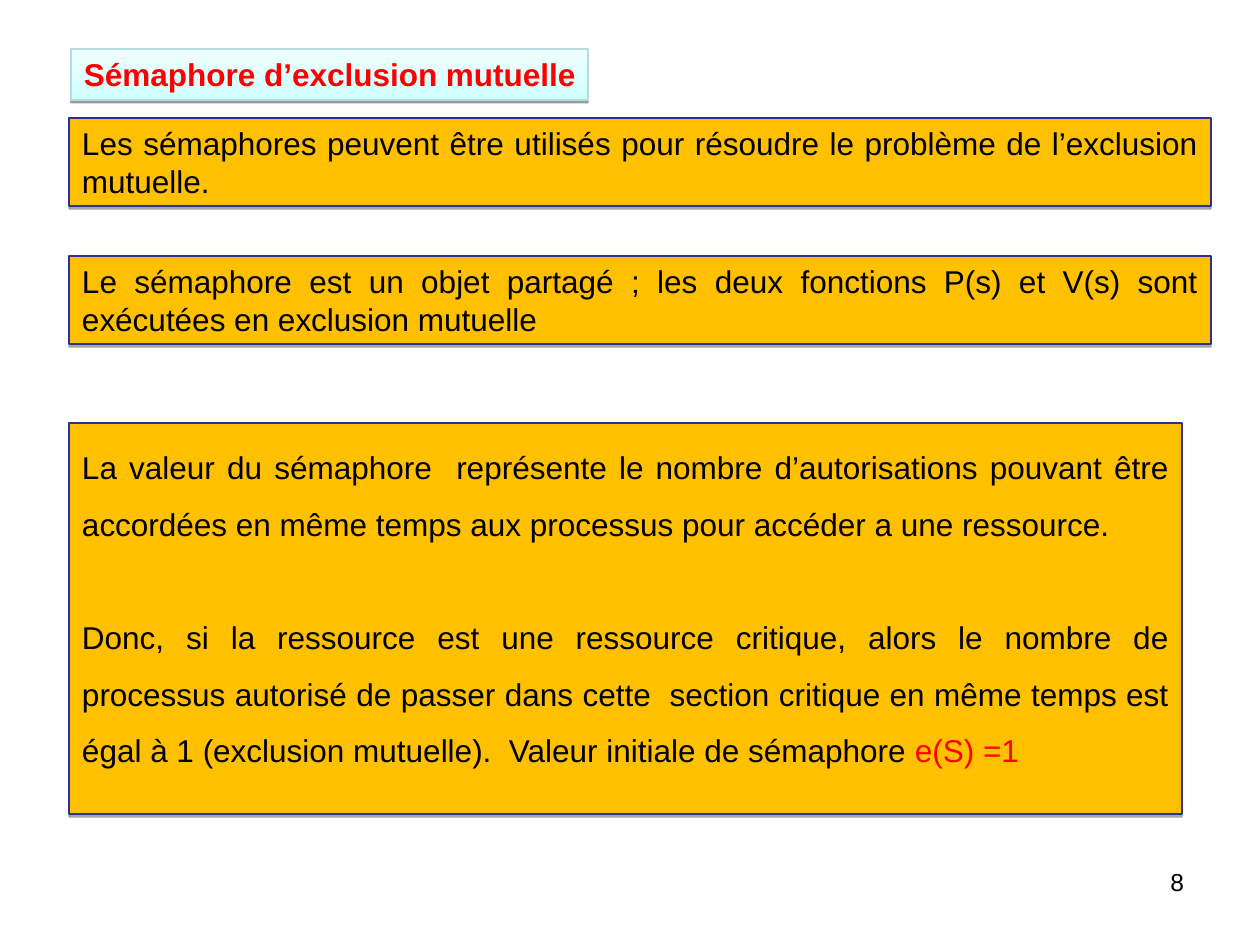
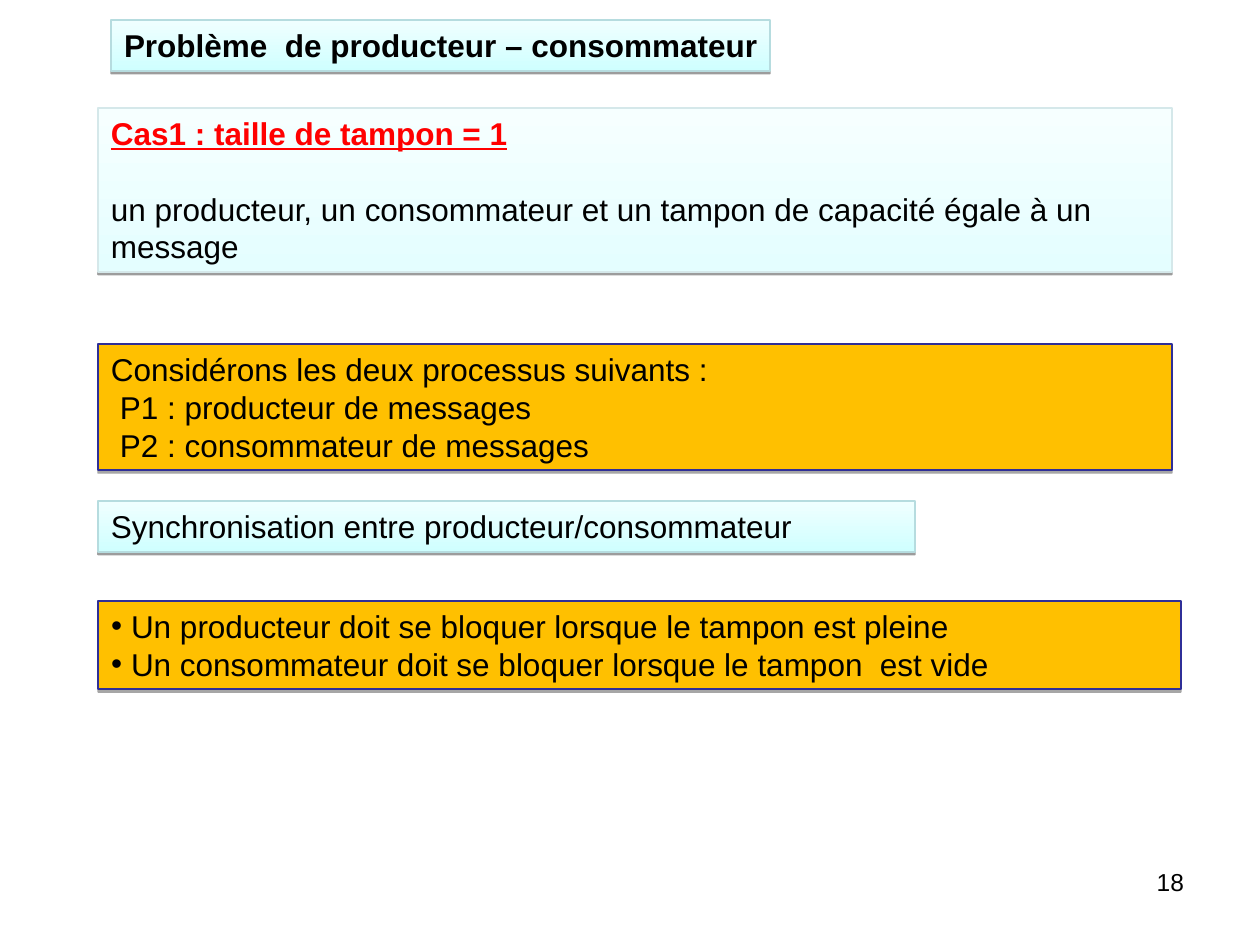
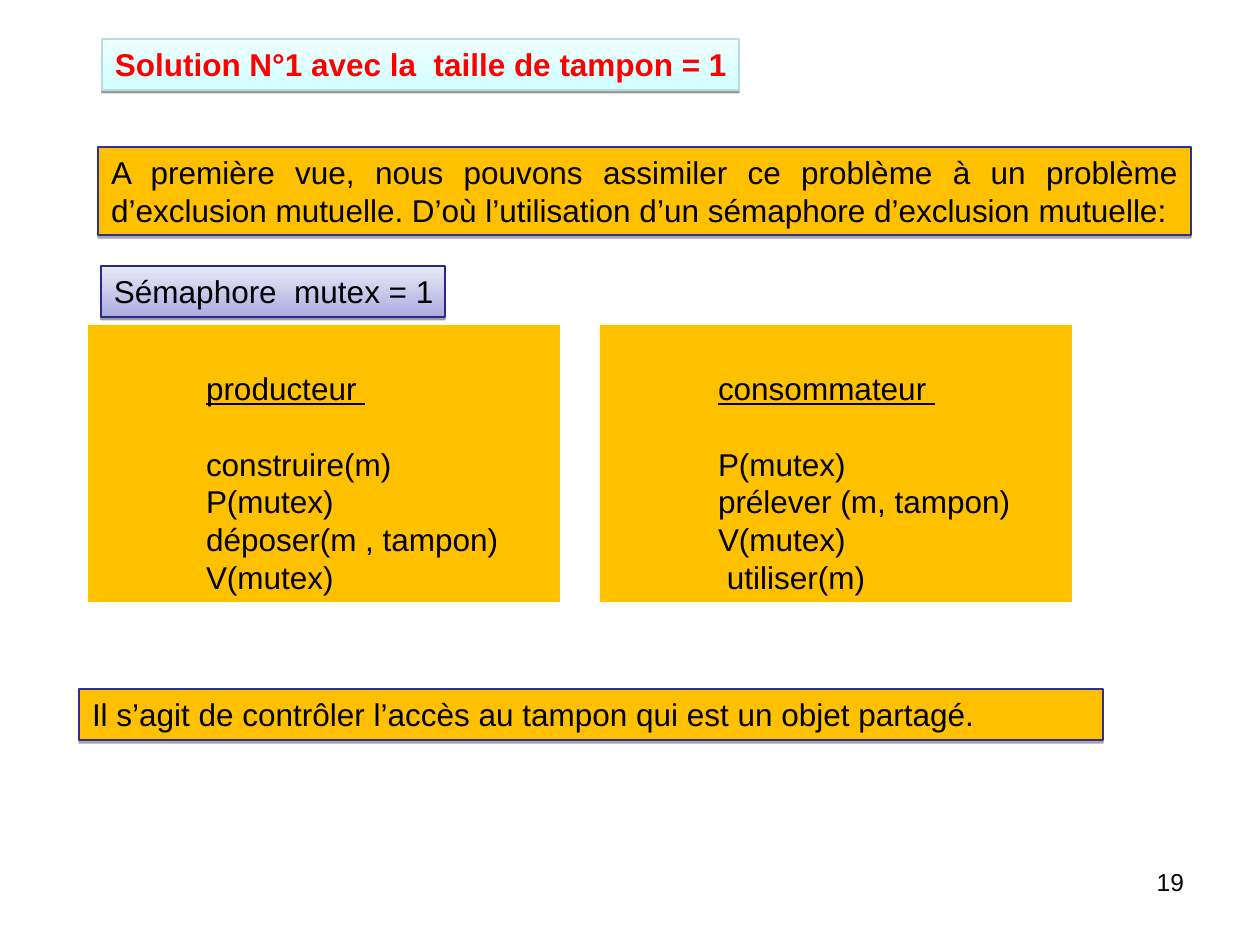
"""Build three course slides on semaphores and the producer-consumer problem."""
from lxml.etree import SubElement
from pptx import Presentation
from pptx.dml.color import RGBColor
from pptx.enum.shapes import MSO_SHAPE
from pptx.enum.text import MSO_ANCHOR, MSO_AUTO_SIZE, PP_ALIGN
from pptx.oxml.ns import qn
from pptx.util import Pt

PX = 914400 / 126
FONT = "Arial"
SIZE = 18
LEAD = 21.6
ROW = 38
PAD = 13
TOP = 6
STEP = 9
CODE = 105

BLACK = RGBColor(0, 0, 0)
RED = RGBColor(0xFF, 0, 0)
AMBER = RGBColor(0xFF, 0xC0, 0)
NAVY = RGBColor(0x2F, 0x2F, 0x98)
ICE = RGBColor(0xF0, 0xFF, 0xFF)
AQUA = RGBColor(0xCF, 0xFF, 0xFF)
TEAL = RGBColor(0xB6, 0xDC, 0xDF)
FROST = RGBColor(0xF6, 0xFF, 0xFF)
MIST = RGBColor(0xE4, 0xFE, 0xFF)
PALE = RGBColor(0xD5, 0xE8, 0xEA)
LILAC = RGBColor(0xE9, 0xE9, 0xF7)
MAUVE = RGBColor(0xAC, 0xAC, 0xE1)
INDIGO = RGBColor(0x29, 0x29, 0x89)

SKINS = {
    "amber": ([AMBER], NAVY, 35, 1.8),
    "aqua": ([ICE, AQUA], TEAL, 38, 1.6),
    "frost": ([FROST, MIST], PALE, 38, 1.6),
    "lilac": ([LILAC, MAUVE], INDIGO, 38, 1.6),
    "code": ([AMBER], None, 0, 0),
}


def para(*runs, gap=0, left=0, mark=False):
    return {"runs": runs, "gap": gap, "left": left, "mark": mark}


def run(text, color=BLACK, bold=False, line=False):
    return text, color, bold, line


def box(place, skin, *paras, just=False, lead=1, top=TOP, right=PAD, role=None):
    return {"place": place, "skin": skin, "paras": paras, "just": just,
            "lead": lead, "top": top, "right": right, "role": role}


def title(place, text, color):
    return box(place, "aqua", para(run(text, color, True)), right=0, role="title")


def code(x, name, *lines):
    paras = [para(run(name, line=True), left=CODE)]
    for i, (text, left) in enumerate(lines):
        paras.append(para(run(text), gap=int(i == 0), left=CODE + left))
    return box((x, 325, 472, 277), "code", *paras, top=TOP + ROW)


SLIDES = [
    (8, [
        title((71, 49, 517, 51), "Sémaphore d’exclusion mutuelle", RED),
        box((69, 118, 1142, 88), "amber", para(run(
            "Les sémaphores peuvent être utilisés pour résoudre le problème "
            "de l’exclusion mutuelle.")), just=True),
        box((69, 256, 1142, 88), "amber", para(run(
            "Le sémaphore est un objet partagé ; les deux fonctions P(s) et "
            "V(s) sont exécutées en exclusion mutuelle")), just=True),
        box((69, 423, 1113, 391), "amber",
            para(run("La valeur du sémaphore  représente le nombre d’autorisations "
                     "pouvant être accordées en même temps aux processus pour "
                     "accéder a une ressource.")),
            para(run("Donc, si la ressource est une ressource critique, alors le "
                     "nombre de processus autorisé de passer dans cette  section "
                     "critique en même temps est égal à 1 (exclusion mutuelle).  "
                     "Valeur initiale de sémaphore "),
                 run("e(S) =1", RED), gap=1),
            just=True, lead=1.5),
    ]),
    (18, [
        title((111, 20, 659, 51), "Problème  de producteur – consommateur", BLACK),
        box((98, 108, 1074, 164), "frost",
            para(run("Cas1 : taille de tampon = 1", RED, True, True)),
            para(run("un producteur, un consommateur et un tampon de capacité "
                     "égale à un message"), gap=1)),
        box((98, 344, 1074, 126), "amber",
            para(run("Considérons les deux processus suivants :")),
            para(run("P1 : producteur de messages"), left=STEP),
            para(run("P2 : consommateur de messages"), left=STEP)),
        box((98, 501, 817, 51), "aqua",
            para(run("Synchronisation entre producteur/consommateur"))),
        box((98, 601, 1083, 88), "amber",
            para(run("Un producteur doit se bloquer lorsque le tampon est pleine"),
                 left=20, mark=True),
            para(run("Un consommateur doit se bloquer lorsque le tampon  est vide"),
                 left=20, mark=True), role="list"),
    ]),
    (19, [
        title((102, 39, 637, 51), "Solution N°1 avec la  taille de tampon = 1", RED),
        box((98, 147, 1093, 88), "amber", para(run(
            "A première vue, nous pouvons assimiler ce problème à un problème "
            "d’exclusion mutuelle. D’où l’utilisation d’un sémaphore "
            "d’exclusion mutuelle:")), just=True),
        code(88, "producteur ", ("construire(m)", 0), ("P(mutex)", 0),
             ("déposer(m , tampon)", 0), ("V(mutex)", 0)),
        box((101, 266, 344, 51), "lilac", para(run("Sémaphore  mutex = 1")),
            right=0),
        code(600, "consommateur ", ("P(mutex)", 0), ("prélever (m, tampon)", 0),
             ("V(mutex)", 0), ("utiliser(m)", STEP)),
        box((79, 689, 1024, 51), "amber", para(run(
            "Il s’agit de contrôler l’accès au tampon qui est un objet partagé."))),
    ]),
]


def px(n):
    return int(n * PX)


def put(shape, place):
    shape.left, shape.top, shape.width, shape.height = map(px, place)


def paint(shape, skin):
    fills, edge, alpha, dist = SKINS[skin]
    fill = shape.fill
    if len(fills) == 1:
        fill.solid()
        fill.fore_color.rgb = fills[0]
    else:
        fill.gradient()
        fill.gradient_angle = 270
        for stop, color, spot in zip(fill.gradient_stops, fills, (0, 1)):
            stop.color.rgb = color
            stop.position = spot
    shape.shadow.inherit = False
    if edge is None:
        shape.line.fill.background()
        return
    shape.line.color.rgb = edge
    shape.line.width = Pt(0.75)
    effects = shape.element.spPr.find(qn("a:effectLst"))
    shade = SubElement(effects, qn("a:outerShdw"), blurRad="0", dist=str(Pt(dist)),
                       dir="5400000", rotWithShape="0")
    tint = SubElement(shade, qn("a:srgbClr"), val=str(BLACK))
    SubElement(tint, qn("a:alpha"), val=str(alpha * 1000))


def frame(shape, top=TOP, right=PAD):
    text = shape.text_frame
    text.auto_size = MSO_AUTO_SIZE.NONE
    text.word_wrap = True
    text.vertical_anchor = MSO_ANCHOR.TOP
    text.margin_left, text.margin_right = px(PAD), px(right)
    text.margin_top, text.margin_bottom = px(top), px(TOP)
    return text


def add(par, text, color=BLACK, bold=False, line=False, size=SIZE):
    piece = par.add_run()
    piece.text = text
    font = piece.font
    font.name, font.size = FONT, Pt(size)
    font.bold, font.underline = bold, line
    font.color.rgb = color


def write(shape, item):
    text = frame(shape, item["top"], item["right"])
    lead = LEAD * item["lead"]
    for i, data in enumerate(item["paras"]):
        par = text.paragraphs[0] if i == 0 else text.add_paragraph()
        props = par._p.get_or_add_pPr()
        props.set("marL", str(px(data["left"])))
        props.set("indent", str(px(-data["left"] if data["mark"] else 0)))
        if data["mark"]:
            SubElement(props, qn("a:buFont"), typeface=FONT)
            SubElement(props, qn("a:buChar"), char="•")
        par.alignment = PP_ALIGN.JUSTIFY if item["just"] else PP_ALIGN.LEFT
        par.line_spacing = Pt(lead)
        par.space_before = Pt(lead * data["gap"])
        par.space_after = Pt(0)
        for piece in data["runs"]:
            add(par, *piece)


def number(slide, value):
    shape = slide.shapes.add_textbox(0, 0, 0, 0)
    put(shape, (903, 861, 294, 66))
    par = frame(shape).paragraphs[0]
    par.alignment = PP_ALIGN.RIGHT
    add(par, str(value), size=14)


def main():
    deck = Presentation()
    deck.slide_width, deck.slide_height = px(1260), px(945)
    for value, items in SLIDES:
        listed = any(item["role"] == "list" for item in items)
        slide = deck.slides.add_slide(deck.slide_layouts[1 if listed else 5])
        for item in items:
            if item["role"] == "title":
                shape = slide.shapes.title
            elif item["role"] == "list":
                shape = slide.placeholders[1]
            else:
                shape = slide.shapes.add_shape(MSO_SHAPE.RECTANGLE, 0, 0, 0, 0)
            put(shape, item["place"])
            paint(shape, item["skin"])
            write(shape, item)
        number(slide, value)
    deck.save("out.pptx")


if __name__ == "__main__":
    main()
